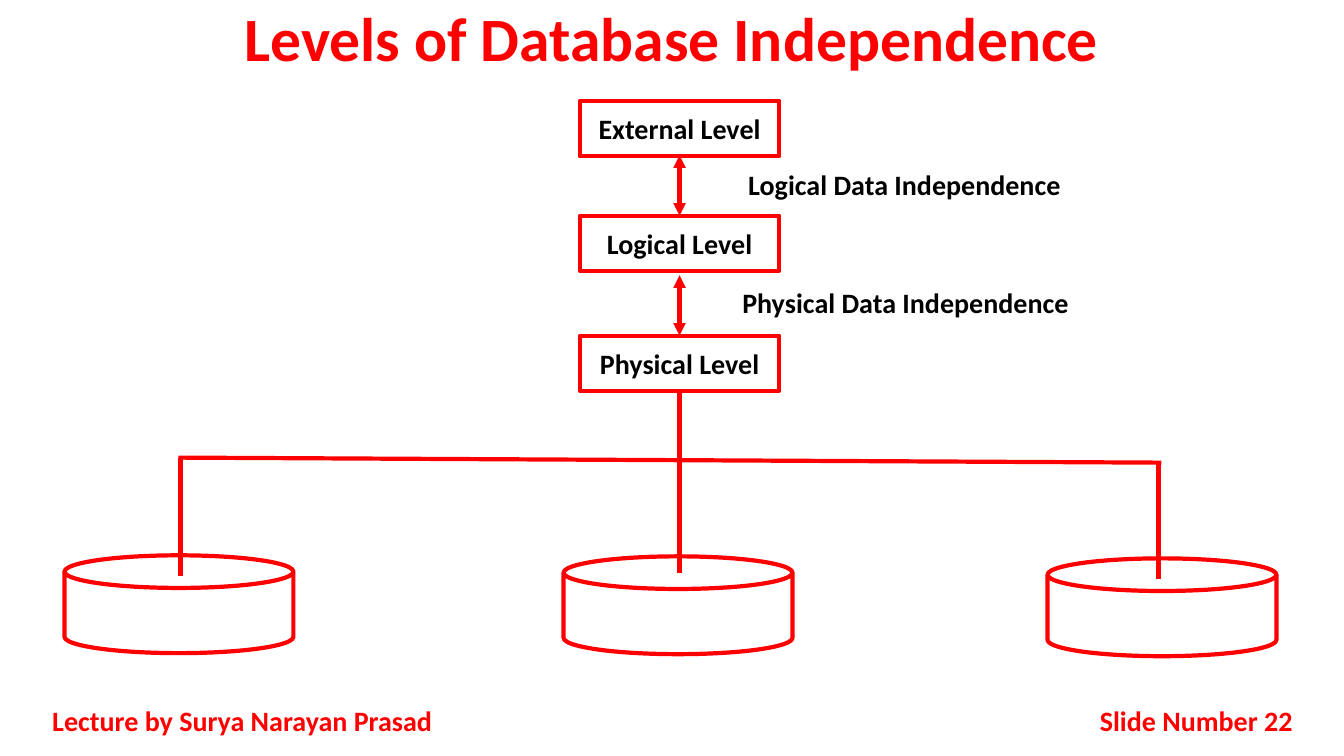
"""Build a slide showing the three levels of database independence."""
from dataclasses import dataclass

from lxml import etree
from pptx import Presentation
from pptx.dml.color import RGBColor
from pptx.enum.shapes import MSO_CONNECTOR, MSO_SHAPE
from pptx.enum.text import MSO_ANCHOR, PP_ALIGN
from pptx.oxml.ns import qn
from pptx.util import Inches, Pt

STRAIGHT = MSO_CONNECTOR.STRAIGHT
DISK, BOX = MSO_SHAPE.FLOWCHART_MAGNETIC_DISK, MSO_SHAPE.RECTANGLE
MIDDLE = MSO_ANCHOR.MIDDLE
CENTER, JUSTIFY, RIGHT = PP_ALIGN.CENTER, PP_ALIGN.JUSTIFY, PP_ALIGN.RIGHT


@dataclass(frozen=True)
class Theme:
    accent: RGBColor = RGBColor(0xFF, 0x00, 0x00)
    ink: RGBColor = RGBColor(0x00, 0x00, 0x00)
    font: str = "Calibri"
    title_size: Pt = Pt(44)
    text_size: Pt = Pt(20)
    line_width: Pt = Pt(3)


THEME = Theme()


def write(shape, text, color, size=THEME.text_size, align=CENTER):
    frame = shape.text_frame
    frame.word_wrap = True
    frame.vertical_anchor = MIDDLE
    paragraph = frame.paragraphs[0]
    paragraph.alignment = align
    run = paragraph.add_run()
    run.text = text
    run.font.name = THEME.font
    run.font.size = size
    run.font.bold = True
    run.font.color.rgb = color
    return paragraph


def outline(kind, left, top, width, height):
    shape = slide.shapes.add_shape(kind, Inches(left), Inches(top), Inches(width), Inches(height))
    shape.shadow.inherit = False
    shape.fill.background()
    shape.line.color.rgb = THEME.accent
    shape.line.width = THEME.line_width
    return shape


deck = Presentation()
deck.slide_width, deck.slide_height = Inches(13.33), Inches(7.5)
slide = deck.slides.add_slide(deck.slide_layouts[5])

title = slide.shapes.title
title.left, title.top, title.width, title.height = Inches(0), Inches(0), Inches(13.33), Inches(0.83)
heading = write(title, "Levels of Database Independence", THEME.accent, THEME.title_size)
heading.line_spacing = 0.9

for left, top in ((0.64, 5.51), (5.59, 5.52), (10.39, 5.54)):
    outline(DISK, left, top, 2.27, 0.97)

axis = 6.74
storage_links = [
    (1.77, 4.54, 11.52, 4.59),
    (1.79, 4.54, 1.79, 5.71),
    (axis, 3.88, axis, 5.68),
    (11.49, 4.57, 11.49, 5.74),
]
level_links = [(axis, 3.33, axis, 2.73), (axis, 2.14, axis, 1.54)]
for link in storage_links + level_links:
    connector = slide.shapes.add_connector(STRAIGHT, *(Inches(value) for value in link))
    connector.line.color.rgb = THEME.accent
    connector.line.width = THEME.line_width
    if link in level_links:
        stroke = connector.line._get_or_add_ln()
        for end in ("a:headEnd", "a:tailEnd"):
            etree.SubElement(stroke, qn(end), type="triangle")
    etree.SubElement(connector._element.spPr, qn("a:effectLst"))

for level, top in (("Physical Level", 3.33), ("Logical Level", 2.14), ("External Level", 1)):
    level_box = outline(BOX, 5.75, top, 1.98, 0.55)
    write(level_box, level, THEME.ink)

captions = (
    ("Physical Data Independence", 7.14, 2.72, 3.68, 0.55, THEME.ink, CENTER),
    ("Logical Data Independence", 7.13, 1.55, 3.68, 0.55, THEME.ink, CENTER),
    ("Lecture by Surya Narayan Prasad", 0.42, 6.95, 4.17, 0.4, THEME.accent, JUSTIFY),
    ("Slide Number 22", 10.17, 6.95, 2.75, 0.4, THEME.accent, RIGHT),
)
for text, left, top, width, height, color, align in captions:
    caption = slide.shapes.add_textbox(Inches(left), Inches(top), Inches(width), Inches(height))
    write(caption, text, color, align=align)

deck.save("out.pptx")
